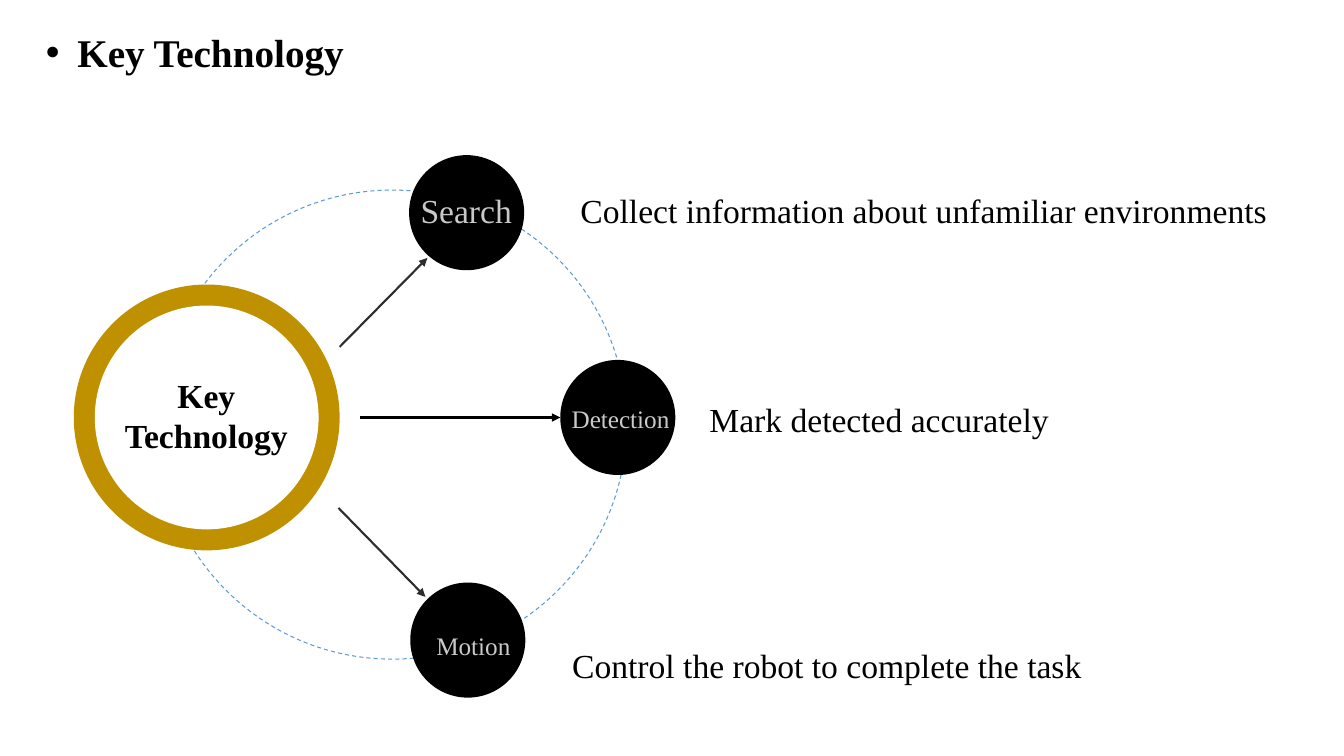
from lxml import etree
from pptx import Presentation
from pptx import util as u
from pptx.dml.color import RGBColor
from pptx.enum import dml, shapes, text
from pptx.oxml.ns import qn

BLACK = RGBColor(0x00, 0x00, 0x00)
WHITE = RGBColor(0xFF, 0xFF, 0xFF)
GOLD = RGBColor(0xBF, 0x90, 0x00)
BLUE = RGBColor(0x5B, 0x9B, 0xD5)
GREY = RGBColor(0xC9, 0xC9, 0xC9)
CHARCOAL = RGBColor(0x2E, 0x2C, 0x2C)


class Diagram:
    """Holds the style and the slide being drawn; lengths are in centimetres."""

    font = "Times New Roman"
    arrow_width = u.Pt(1.5)

    def __init__(self, slide):
        self.slide = slide

    def circle(self, x, y, diameter, fill):
        """Circle centred on x, y."""
        left, top = x - diameter / 2, y - diameter / 2
        disc = self.slide.shapes.add_shape(
            shapes.MSO_SHAPE.OVAL, u.Cm(left), u.Cm(top), u.Cm(diameter), u.Cm(diameter))
        disc.shadow.inherit = False
        if fill is None:
            disc.fill.background()
        else:
            disc.fill.solid()
            disc.fill.fore_color.rgb = fill
        disc.line.fill.background()
        return disc

    def orbit(self, x, y, diameter, color):
        ring = self.circle(x, y, diameter, None)
        ring.line.color.rgb = color
        ring.line.width = u.Pt(0)
        ring.line.dash_style = dml.MSO_LINE.DASH

    def arrow(self, start, end, color):
        link = self.slide.shapes.add_connector(
            shapes.MSO_CONNECTOR.STRAIGHT, *(u.Cm(v) for v in (*start, *end)))
        link.line.color.rgb = color
        link.line.width = self.arrow_width
        etree.SubElement(link.line._get_or_add_ln(), qn("a:tailEnd"), type="triangle")
        etree.SubElement(link._element.spPr, qn("a:effectLst"))

    def label(self, words, left, top, width, height, size=24, color=BLACK,
              bold=False, align=text.PP_ALIGN.LEFT):
        box = self.slide.shapes.add_textbox(u.Cm(left), u.Cm(top), u.Cm(width), u.Cm(height))
        box.text_frame.word_wrap = True
        paragraph = box.text_frame.paragraphs[0]
        paragraph.alignment = align
        run = paragraph.add_run()
        run.text = words
        run.font.name = self.font
        run.font.size = u.Pt(size)
        run.font.bold = bold
        run.font.color.rgb = color
        return paragraph

    def heading(self, words, left, top, width, height):
        props = self.label(words, left, top, width, height, 28, bold=True)._p.get_or_add_pPr()
        indent = u.Cm(0.79)
        props.set("marL", str(indent))
        props.set("indent", str(-indent))
        etree.SubElement(props, qn("a:buFont"), typeface="Arial")
        etree.SubElement(props, qn("a:buChar"), char="\u2022")


deck = Presentation()
deck.slide_width, deck.slide_height = u.Cm(33.87), u.Cm(19.05)
diagram = Diagram(deck.slides.add_slide(deck.slide_layouts[6]))
CENTER = text.PP_ALIGN.CENTER

diagram.heading("Key Technology", 0.91, 0.58, 8.69, 1.45)

# Orbit and central hub
diagram.orbit(9.88, 10.7, 11.82, BLUE)
HUB_X, HUB_Y = 5.21, 10.52
for diameter, fill in ((6.7, GOLD), (5.64, WHITE)):
    diagram.circle(HUB_X, HUB_Y, diameter, fill)
diagram.label("Key Technology", 2.75, 9.32, 4.9, 2.31, bold=True, align=CENTER)

# Technologies: name, size, circle centre, name box, description box
NODE = 2.9
technologies = [
    ("Search", 24, (11.76, 5.36), (10.01, 4.65),
     "Collect information about unfamiliar environments", (14.38, 4.65, 18)),
    ("Detection", 18, (15.57, 10.52), (13.9, 10.03),
     "Mark detected accurately", (17.63, 9.93, 14.58)),
    ("Motion", 18, (11.79, 16.13), (10.19, 15.75),
     "Control the robot to complete the task", (14.17, 16.13, 14.58)),
]
for name, size, center, name_at, description, (left, top, width) in technologies:
    diagram.circle(*center, NODE, BLACK)
    diagram.label(name, *name_at, 3.48, 1.2, size, GREY, align=CENTER)
    diagram.label(description, left, top, width, 1.27)

# Arrows from the hub to each technology
for start, end, color in (
        ((8.56, 8.74), (10.77, 6.5), CHARCOAL),
        ((9.07, 10.52), (14.12, 10.52), BLACK),
        ((8.53, 12.8), (10.72, 15.04), CHARCOAL)):
    diagram.arrow(start, end, color)

deck.save("out.pptx")
